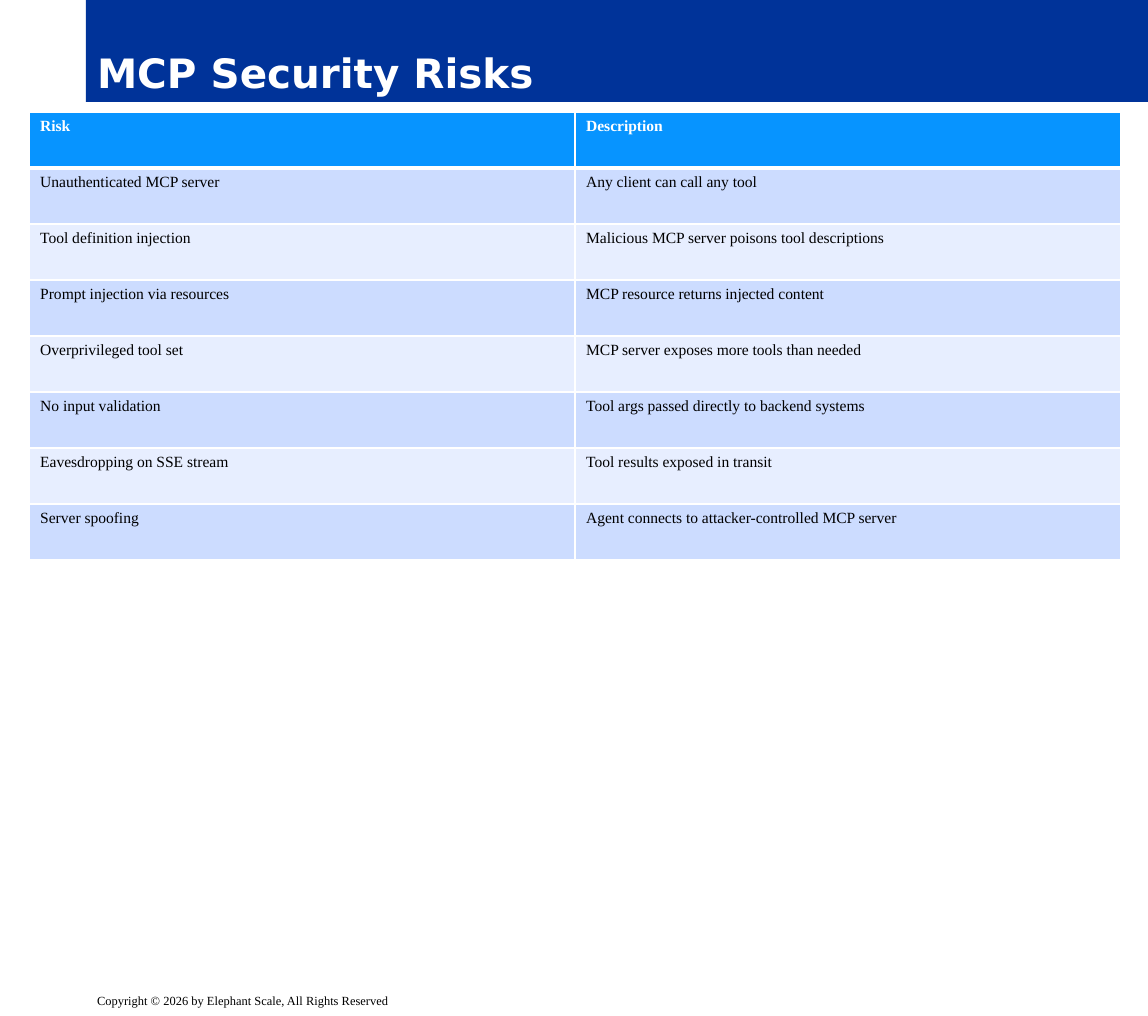
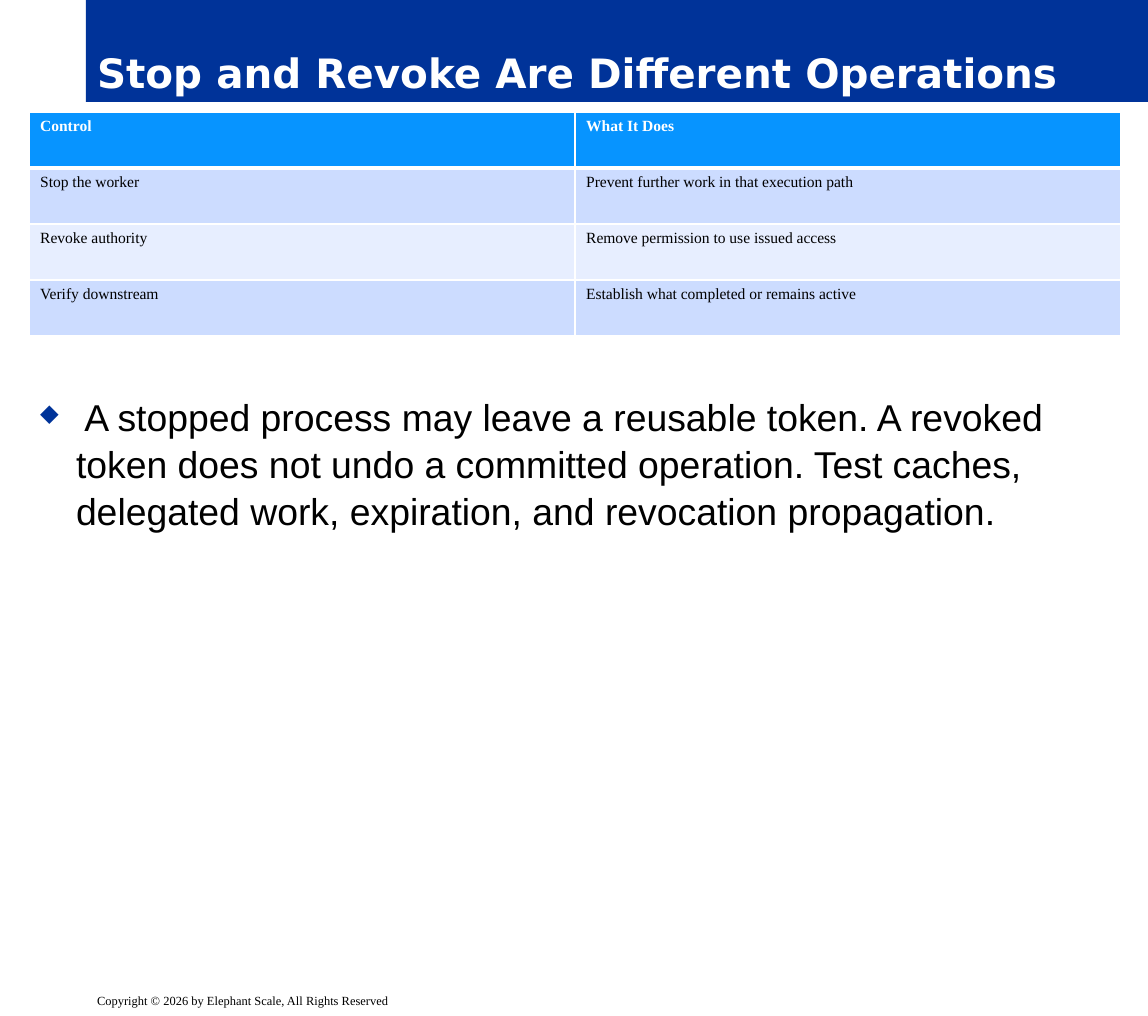
from lxml import etree
from pptx import Presentation, util as u
from pptx.dml.color import RGBColor
from pptx.enum import shapes, text
from pptx.oxml.ns import qn

PX_PER_INCH = 112
SLIDE_W, SLIDE_H = 1148, 1016
BAND_X, BAND_H = 86, 102
TABLE_X, TABLE_Y, COL_W, ROW_H = 29, 112, 546, 56
INDENT = 36

NAVY, SKY, WHITE, BLACK = "003399", "0794FF", "FFFFFF", "000000"
STRIPES = ("CCDCFF", "E7EEFF")

TITLE = {"name": "DejaVu Sans", "size": u.Pt(26), "bold": True, "color": WHITE}
BODY = {"name": "Arial", "size": u.Pt(24), "color": BLACK}
FOOTER = {"name": "Times New Roman", "size": u.Pt(8), "color": BLACK}
CELL = {"name": "Times New Roman", "size": u.Pt(10), "bold": False, "color": BLACK}
HEADER = {**CELL, "bold": True, "color": WHITE}

COPYRIGHT = "Copyright © 2026 by Elephant Scale, All Rights Reserved"

RISKS = [
    ("Risk", "Description"),
    ("Unauthenticated MCP server", "Any client can call any tool"),
    ("Tool definition injection", "Malicious MCP server poisons tool descriptions"),
    ("Prompt injection via resources", "MCP resource returns injected content"),
    ("Overprivileged tool set", "MCP server exposes more tools than needed"),
    ("No input validation", "Tool args passed directly to backend systems"),
    ("Eavesdropping on SSE stream", "Tool results exposed in transit"),
    ("Server spoofing", "Agent connects to attacker-controlled MCP server"),
]
CONTROLS = [
    ("Control", "What It Does"),
    ("Stop the worker", "Prevent further work in that execution path"),
    ("Revoke authority", "Remove permission to use issued access"),
    ("Verify downstream", "Establish what completed or remains active"),
]
REVOKE_NOTE = (
    " A stopped process may leave a reusable token. A revoked token does not undo "
    "a committed operation. Test caches, delegated work, expiration, and revocation "
    "propagation."
)


def px(n):
    return u.Emu(round(n * 914400 / PX_PER_INCH))


def rgb(value):
    return RGBColor.from_string(value)


def write(tf, words, style):
    """Put words in the first paragraph of a frame and return that paragraph."""
    p = tf.paragraphs[0]
    r = p.add_run()
    r.text = words
    for key, value in style.items():
        if key == "color":
            r.font.color.rgb = rgb(value)
        else:
            setattr(r.font, key, value)
    return p


def add_text(s, box, words, style):
    tf = s.shapes.add_textbox(*map(px, box)).text_frame
    tf.word_wrap = True
    return write(tf, words, style)


def add_title(s, words):
    box = (BAND_X, 0, SLIDE_W - BAND_X, BAND_H)
    sp = s.shapes.add_shape(shapes.MSO_SHAPE.RECTANGLE, *map(px, box))
    sp.shadow.inherit = False
    sp.fill.solid()
    sp.fill.fore_color.rgb = rgb(NAVY)
    sp.line.fill.background()
    sp.text_frame.vertical_anchor = text.MSO_ANCHOR.BOTTOM
    write(sp.text_frame, words, TITLE).alignment = text.PP_ALIGN.LEFT


def add_bullet(s, box, words):
    p = add_text(s, box, words, BODY)
    p.line_spacing = 1.05
    pPr = p._p.get_or_add_pPr()
    pPr.set("marL", str(px(INDENT)))
    pPr.set("indent", str(-px(INDENT)))
    color = etree.SubElement(pPr, qn("a:buClr"))
    etree.SubElement(color, qn("a:srgbClr"), val=NAVY)
    etree.SubElement(pPr, qn("a:buSzPct"), val="65000")
    etree.SubElement(pPr, qn("a:buChar"), char="◆")


def set_borders(cell, **widths):
    """Draw white borders; widths maps the sides L, R, T and B to points."""
    tcPr = cell._tc.get_or_add_tcPr()
    for side, width in widths.items():
        ln = etree.SubElement(tcPr, qn(f"a:ln{side}"), w=str(u.Pt(width)))
        fill = etree.SubElement(ln, qn("a:solidFill"))
        etree.SubElement(fill, qn("a:srgbClr"), val=WHITE)


def add_table(s, rows):
    box = (TABLE_X, TABLE_Y, 2 * COL_W, ROW_H * len(rows))
    table = s.shapes.add_table(len(rows), 2, *map(px, box)).table
    for i, row in enumerate(rows):
        for j, words in enumerate(row):
            cell = table.cell(i, j)
            set_borders(cell, L=1, R=1, T=3 if i == 1 else 1, B=3 if i == 0 else 1)
            cell.fill.solid()
            cell.fill.fore_color.rgb = rgb(STRIPES[(i - 1) % 2] if i else SKY)
            write(cell.text_frame, words, CELL if i else HEADER)


def add_slide(prs, title, rows):
    s = prs.slides.add_slide(prs.slide_layouts[6])
    add_title(s, title)
    add_text(s, (BAND_X, 988, 400, 28), COPYRIGHT, FOOTER)
    add_table(s, rows)
    return s


def main():
    prs = Presentation()
    prs.slide_width, prs.slide_height = px(SLIDE_W), px(SLIDE_H)
    add_slide(prs, "MCP Security Risks", RISKS)
    s = add_slide(prs, "Stop and Revoke Are Different Operations", CONTROLS)
    add_bullet(s, (TABLE_X, 386, 2 * COL_W, 572), REVOKE_NOTE)
    prs.save("out.pptx")


if __name__ == "__main__":
    main()
